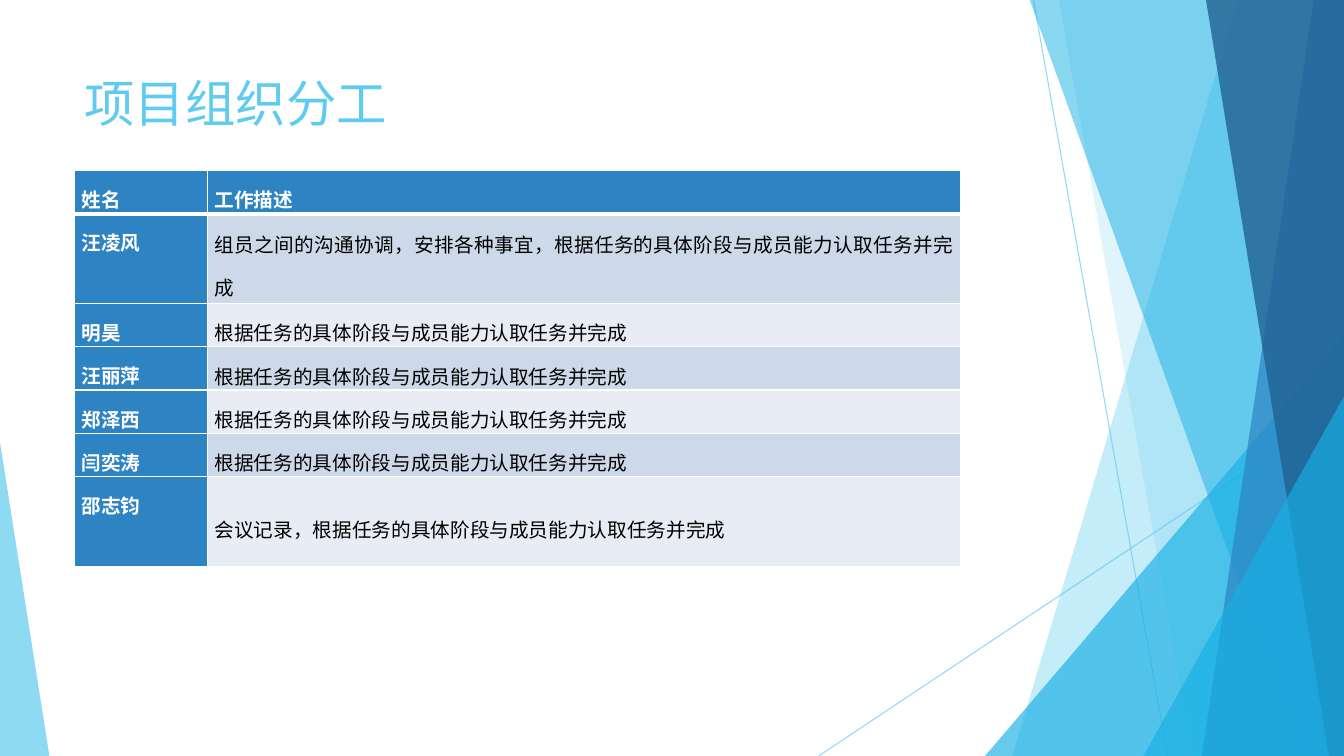
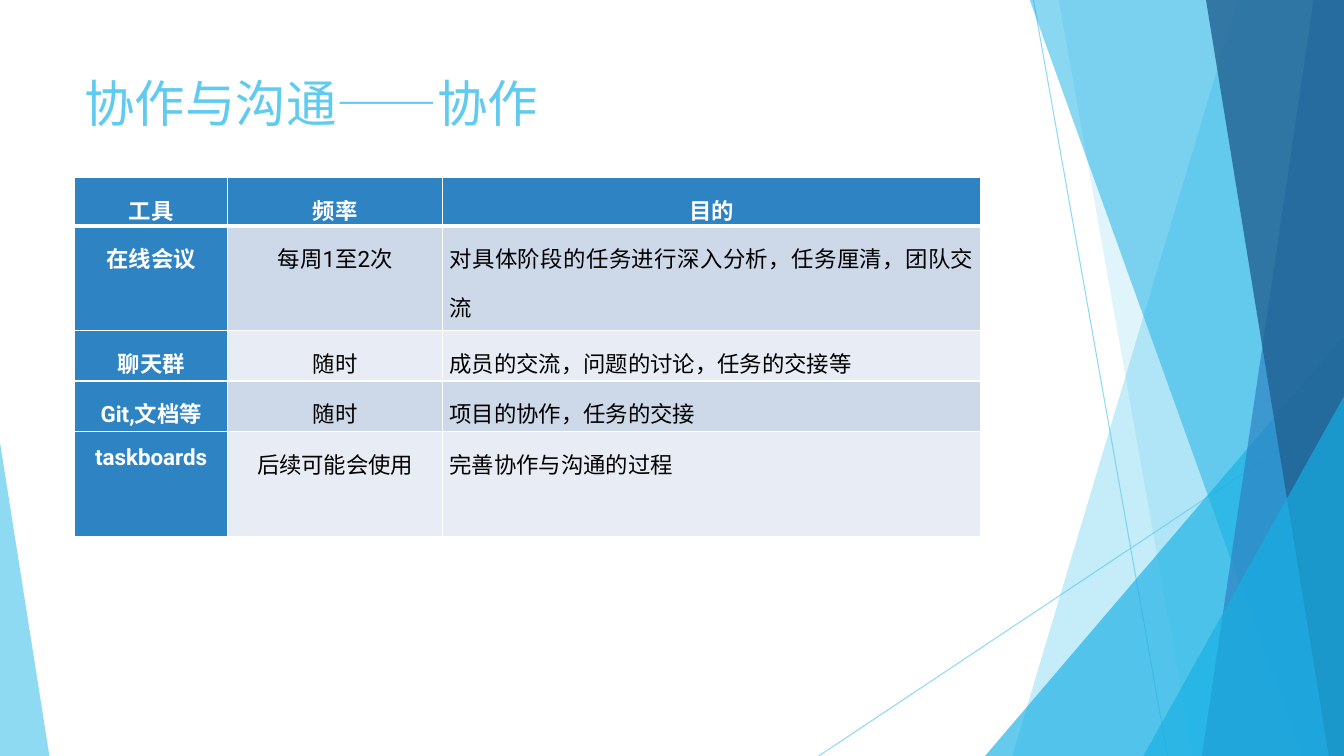
import pptx
import pptx.util
import pptx.dml.color
import pptx.enum.dml
import pptx.enum.lang
import pptx.enum.shapes
import pptx.enum.text
import pptx.oxml
import pptx.oxml.ns

Inches = pptx.util.Inches
ALIGN = pptx.enum.text.PP_ALIGN
ANCHOR = pptx.enum.text.MSO_ANCHOR

# Shared look
WIDTH, HEIGHT = 13.33, 7.5
FONT = "Roboto"
SKY, CYAN, BLUE, NAVY = "5FCBEF", "17B0E4", "2E83C3", "226292"
BLACK, WHITE = "000000", "FFFFFF"
ROW_FILLS = ["CDD9E9", "E8EDF5"]
TITLE_BOX = (0.74, 0.67, 9.4, 1.44)


def color(hex_text):
    return pptx.dml.color.RGBColor.from_string(hex_text)


def set_opacity(shape, percent):
    for tint in shape.element.iter(pptx.oxml.ns.qn("a:srgbClr")):
        alpha = tint.makeelement(pptx.oxml.ns.qn("a:alpha"), {"val": str(percent * 1000)})
        tint.append(alpha)


def paint(shape, fill, opacity):
    shape.shadow.inherit = False
    shape.fill.solid()
    shape.fill.fore_color.rgb = color(fill)
    shape.line.fill.background()
    set_opacity(shape, opacity)


def write(frame, text, size, fill, bold=False, align=ALIGN.LEFT, spacing=1.0):
    frame.word_wrap = True
    para = frame.paragraphs[0]
    para.alignment = align
    para.line_spacing = spacing
    span = para.add_run()
    span.text = text
    span.font.name = FONT
    span.font.size = pptx.util.Pt(size)
    span.font.bold = bold
    span.font.color.rgb = color(fill)
    span.font.language_id = pptx.enum.lang.MSO_LANGUAGE_ID.SIMPLIFIED_CHINESE


# Background facets
def add_thin_line(page, start, end):
    line = page.shapes.add_connector(
        pptx.enum.shapes.MSO_CONNECTOR.STRAIGHT, *map(Inches, start + end))
    line.line.width = pptx.util.Pt(0.75)
    line.line.color.rgb = color(SKY)
    set_opacity(line, 70)
    spPr = line.element.spPr
    spPr.append(spPr.makeelement(pptx.oxml.ns.qn("a:effectLst"), {}))


def add_band(page, top_left, bottom_left, fill, opacity):
    """Full-height band from a slanted left side to the right edge."""
    corners = [(top_left, -0.01), (WIDTH, -0.01), (WIDTH, HEIGHT), (bottom_left, HEIGHT)]
    points = [(Inches(x), Inches(y)) for x, y in corners]
    builder = page.shapes.build_freeform(*points[0])
    builder.add_line_segments(points[1:], close=True)
    paint(builder.convert_to_shape(), fill, opacity)


def add_corner(page, left, top, width, peak, fill, opacity):
    """Right triangle standing on the bottom edge; peak 0 is left, 1 is right."""
    corner = page.shapes.add_shape(
        pptx.enum.shapes.MSO_SHAPE.ISOSCELES_TRIANGLE,
        Inches(left), Inches(top), Inches(width), Inches(HEIGHT - top))
    corner.adjustments[0] = peak
    paint(corner, fill, opacity)


def add_background(page):
    add_thin_line(page, (10.25, 0), (11.58, HEIGHT))
    add_thin_line(page, (WIDTH, 4.03), (8.12, HEIGHT))
    add_band(page, 12.28, 10.04, SKY, 36)
    add_band(page, 10.5, 11.83, SKY, 20)
    add_corner(page, 9.77, 3.33, 3.56, 1, CYAN, 66)
    add_band(page, 10.21, 12.91, CYAN, 50)
    add_band(page, 13.03, 11.92, BLUE, 70)
    add_band(page, 11.96, 13.18, NAVY, 80)
    add_corner(page, 11.34, 3.93, 1.99, 1, CYAN, 66)
    add_corner(page, 0, 4.39, 0.49, 0, SKY, 70)


def add_title(page, text, box):
    title = page.shapes.add_textbox(*map(Inches, box))
    write(title.text_frame, text, 36, SKY)


# Tables
def set_borders(cell, row):
    tcPr = cell._tc.get_or_add_tcPr()
    weights = {"L": 1, "R": 1, "T": 3 if row == 1 else 1, "B": 3 if row == 0 else 1}
    for position, (side, points) in enumerate(weights.items()):
        tcPr.insert(position, pptx.oxml.parse_xml(
            f'<a:ln{side} {pptx.oxml.ns.nsdecls("a")} w="{pptx.util.Pt(points)}">'
            f'<a:solidFill><a:srgbClr val="{WHITE}"/></a:solidFill></a:ln{side}>'))


def fill_cell(cell, text, row, column, size, align, anchor):
    heading = row == 0 or column == 0
    cell.margin_left = cell.margin_right = Inches(0.07)
    cell.margin_top = cell.margin_bottom = 0
    cell.vertical_anchor = anchor
    cell.fill.solid()
    cell.fill.fore_color.rgb = color(BLUE if heading else ROW_FILLS[(row - 1) % 2])
    set_borders(cell, row)
    write(cell.text_frame, text, size, WHITE if heading else BLACK,
          bold=heading, align=align, spacing=1.5)


def add_grid(page, left, top, widths, heights, rows, size, head_align, aligns,
             head_anchor, anchors):
    frame = page.shapes.add_table(len(rows), len(widths), Inches(left), Inches(top),
                                  Inches(sum(widths)), Inches(sum(heights)))
    table = frame.table
    table.first_row = table.horz_banding = False
    for column, width in zip(table.columns, widths):
        column.width = Inches(width)
    for line, height in zip(table.rows, heights):
        line.height = Inches(height)
    for row, texts in enumerate(rows):
        for column, text in enumerate(texts):
            fill_cell(table.cell(row, column), text, row, column, size,
                      aligns[column] if row else head_align,
                      anchors[column] if row else head_anchor)


def add_table_page(deck, title, **grid):
    page = deck.slides.add_slide(deck.slide_layouts[6])
    add_background(page)
    add_title(page, title, TITLE_BOX)
    add_grid(page, TITLE_BOX[0], **grid)


deck = pptx.Presentation()
deck.slide_width, deck.slide_height = Inches(WIDTH), Inches(HEIGHT)

# Team roles
DUTY = "根据任务的具体阶段与成员能力认取任务并完成"
add_table_page(
    deck, "项目组织分工", top=1.69, size=14,
    widths=[1.32, 7.47], heights=[0.43, 0.89] + [0.43] * 4 + [0.89],
    rows=[
        ("姓名", "工作描述"),
        ("汪凌风", "组员之间的沟通协调，安排各种事宜，" + DUTY),
        *[(name, DUTY) for name in ("明昊", "汪丽萍", "郑泽西", "闫奕涛")],
        ("邵志钧", "会议记录，" + DUTY),
    ],
    head_align=ALIGN.JUSTIFY, aligns=[ALIGN.JUSTIFY] * 2,
    head_anchor=ANCHOR.MIDDLE, anchors=[ANCHOR.TOP, ANCHOR.MIDDLE])

# Collaboration tools
add_table_page(
    deck, "协作与沟通——协作", top=1.76, size=16,
    widths=[1.52, 2.13, 5.34], heights=[0.48, 1.04, 0.5, 0.5, 1.04],
    rows=[
        ("工具", "频率", "目的"),
        ("在线会议", "每周1至2次", "对具体阶段的任务进行深入分析，任务厘清，团队交流"),
        ("聊天群", "随时", "成员的交流，问题的讨论，任务的交接等"),
        ("Git,文档等", "随时", "项目的协作，任务的交接"),
        ("taskboards", "后续可能会使用", "完善协作与沟通的过程"),
    ],
    head_align=ALIGN.CENTER, aligns=[ALIGN.CENTER, ALIGN.CENTER, ALIGN.JUSTIFY],
    head_anchor=ANCHOR.BOTTOM, anchors=[ANCHOR.TOP] * 3)

deck.save("out.pptx")
